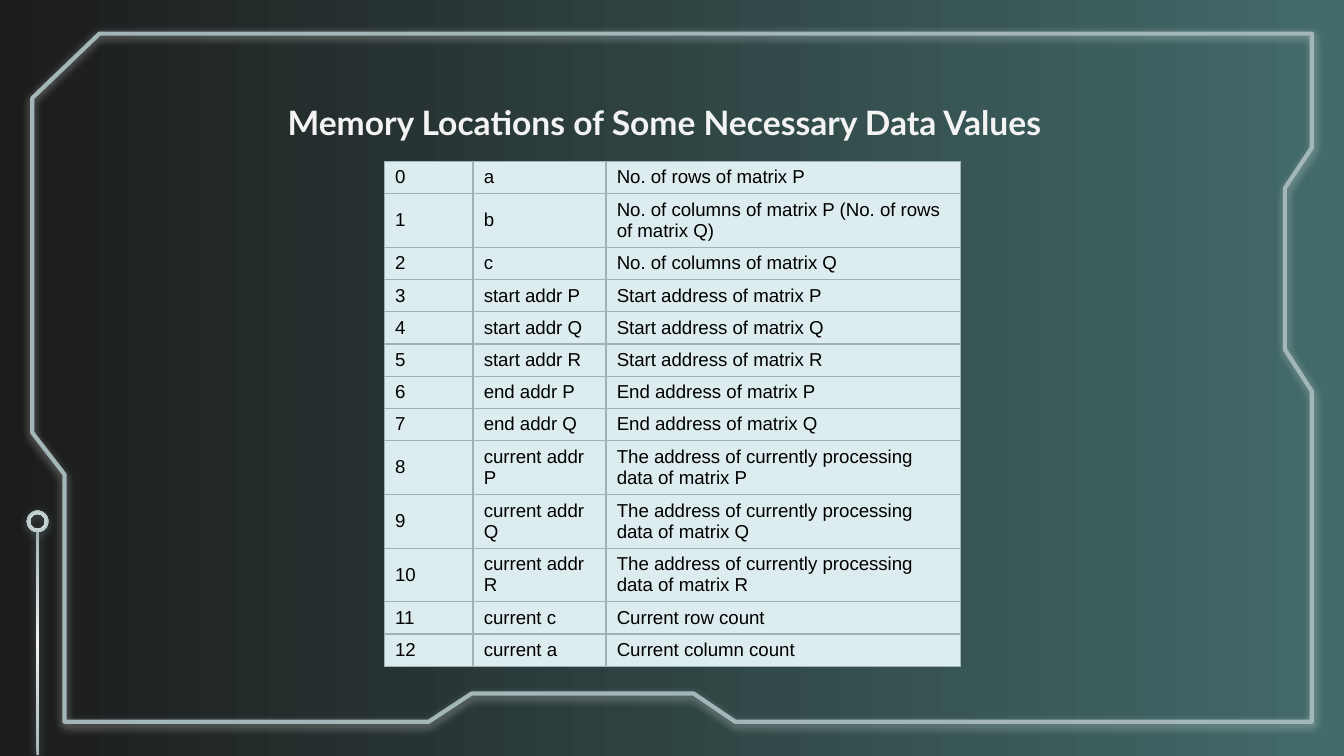
"""Build a slide that tables the memory locations of a matrix program."""
from lxml import etree
from pptx import Presentation
from pptx.dml.color import RGBColor
from pptx.enum.shapes import MSO_SHAPE
from pptx.enum.text import MSO_ANCHOR, PP_ALIGN
from pptx.oxml import parse_xml
from pptx.oxml.ns import nsdecls, qn
from pptx.util import Inches, Pt

RECTANGLE, DONUT = MSO_SHAPE.RECTANGLE, MSO_SHAPE.DONUT
MIDDLE, CENTER = MSO_ANCHOR.MIDDLE, PP_ALIGN.CENTER
COLORS = {
    "dark": "1C1C1C", "teal": "426B6A", "light": "F3F3F3", "frame": "A3B7B9",
    "cell": "DDECEE", "border": "9FB3B5", "text": "000000",
}


def set_gradient(fill, first, last):
    fill.gradient()
    for stop, name in zip(fill.gradient_stops, (first, last)):
        stop.color.rgb = RGBColor.from_string(COLORS[name])


def add_glow(shape, name):
    shape.shadow.inherit = False
    effects = shape.element.spPr.find(qn("a:effectLst"))
    effects.append(parse_xml(
        f'<a:outerShdw {nsdecls("a")} blurRad="{Pt(4.5)}" dist="{Pt(1.5)}" '
        f'dir="5400000" algn="bl" rotWithShape="0"><a:srgbClr val="{COLORS[name]}">'
        '<a:alpha val="50000"/></a:srgbClr></a:outerShdw>'))


deck = Presentation()
deck.slide_width = Inches(10)
deck.slide_height = deck.slide_width * 9 // 16
page = deck.slides.add_slide(deck.slide_layouts[5])
set_gradient(page.background.fill, "dark", "teal")
page.background.fill.gradient_angle = 0

outline = [
    (9.76, 5.37), (5.47, 5.37), (5.16, 5.16), (3.51, 5.16), (3.19, 5.37),
    (0.48, 5.37), (0.48, 3.53), (0.24, 3.22), (0.24, 0.73), (0.74, 0.25),
    (9.76, 0.25), (9.76, 1.1), (9.56, 1.4), (9.56, 2.6), (9.76, 2.91),
]
corners = [(Inches(x), Inches(y)) for x, y in outline]
builder = page.shapes.build_freeform(*corners[0])
builder.add_line_segments(corners[1:], close=True)
frame = builder.convert_to_shape()
frame.fill.background()
frame.line.color.rgb = RGBColor.from_string(COLORS["frame"])
frame.line.width = Pt(2.25)
add_glow(frame, "light")

stem = page.shapes.add_shape(
    RECTANGLE, Inches(0.27), Inches(3.95), Inches(0.02), Inches(1.67))
ring = page.shapes.add_shape(
    DONUT, Inches(0.2), Inches(3.8), Inches(0.16), Inches(0.16))
ring.adjustments[0] = 0.15
for shape in (stem, ring):
    set_gradient(shape.fill, "light", "frame")
    gradient = shape.element.spPr.find(qn("a:gradFill"))
    gradient.remove(gradient.find(qn("a:lin")))
    radial = etree.SubElement(gradient, qn("a:path"), path="circle")
    etree.SubElement(radial, qn("a:fillToRect"), l="50000", t="50000", r="50000", b="50000")
    shape.line.fill.background()
    add_glow(shape, "frame")

title = page.shapes.title
title.element.getparent().append(title.element)
title.left, title.top = Inches(0.79), Inches(0.59)
title.width, title.height = Inches(8.43), Inches(0.45)
box = title.text_frame
box.word_wrap = True
box.vertical_anchor = MIDDLE
box.margin_left = box.margin_right = box.margin_top = box.margin_bottom = Inches(0.1)
para = box.paragraphs[0]
para.alignment = CENTER
title_runs = [
    ("Memory Locations of Some Necessary Data Values", 18, "Lato"),
    (" ", 35, "Roboto"),
]
for text, size, font in title_runs:
    span = para.add_run()
    span.text = text
    span.font.size, span.font.name, span.font.bold = Pt(size), font, True
    span.font.color.rgb = RGBColor.from_string(COLORS["light"])

locations = [
    ("a", "No. of rows of matrix P"),
    ("b", "No. of columns of matrix P (No. of rows of matrix Q)"),
    ("c", "No. of columns of matrix Q"),
    *[(f"start addr {name}", f"Start address of matrix {name}") for name in "PQR"],
    *[(f"end addr {name}", f"End address of matrix {name}") for name in "PQ"],
    *[(f"current addr {name}", f"The address of currently processing data of matrix {name}")
      for name in "PQR"],
    ("current c", "Current row count"),
    ("current a", "Current column count"),
]
two_line_rows = (1, 8, 9, 10)
table = page.shapes.add_table(
    len(locations), 3, Inches(2.86), Inches(1.2), Inches(4.29), Inches(3.87)).table
table.first_row = table.horz_banding = False
for column, width in zip(table.columns, (0.66, 0.99, 2.64)):
    column.width = Inches(width)

for address, location in enumerate(locations):
    table.rows[address].height = Inches(0.4 if address in two_line_rows else 0.24)
    for index, text in enumerate((str(address), *location)):
        cell = table.cell(address, index)
        cell.vertical_anchor = MIDDLE
        cell.margin_left = cell.margin_right = Inches(0.08)
        cell.margin_top = cell.margin_bottom = Inches(0.04)
        properties = cell._tc.get_or_add_tcPr()
        for side in "LRTB":
            properties.append(parse_xml(
                f'<a:ln{side} {nsdecls("a")} w="{Pt(0.75)}"><a:solidFill>'
                f'<a:srgbClr val="{COLORS["border"]}"/></a:solidFill></a:ln{side}>'))
        cell.fill.solid()
        cell.fill.fore_color.rgb = RGBColor.from_string(COLORS["cell"])
        span = cell.text_frame.paragraphs[0].add_run()
        span.text = text
        span.font.size, span.font.name = Pt(10), "Arial"
        span.font.color.rgb = RGBColor.from_string(COLORS["text"])

deck.save("out.pptx")
